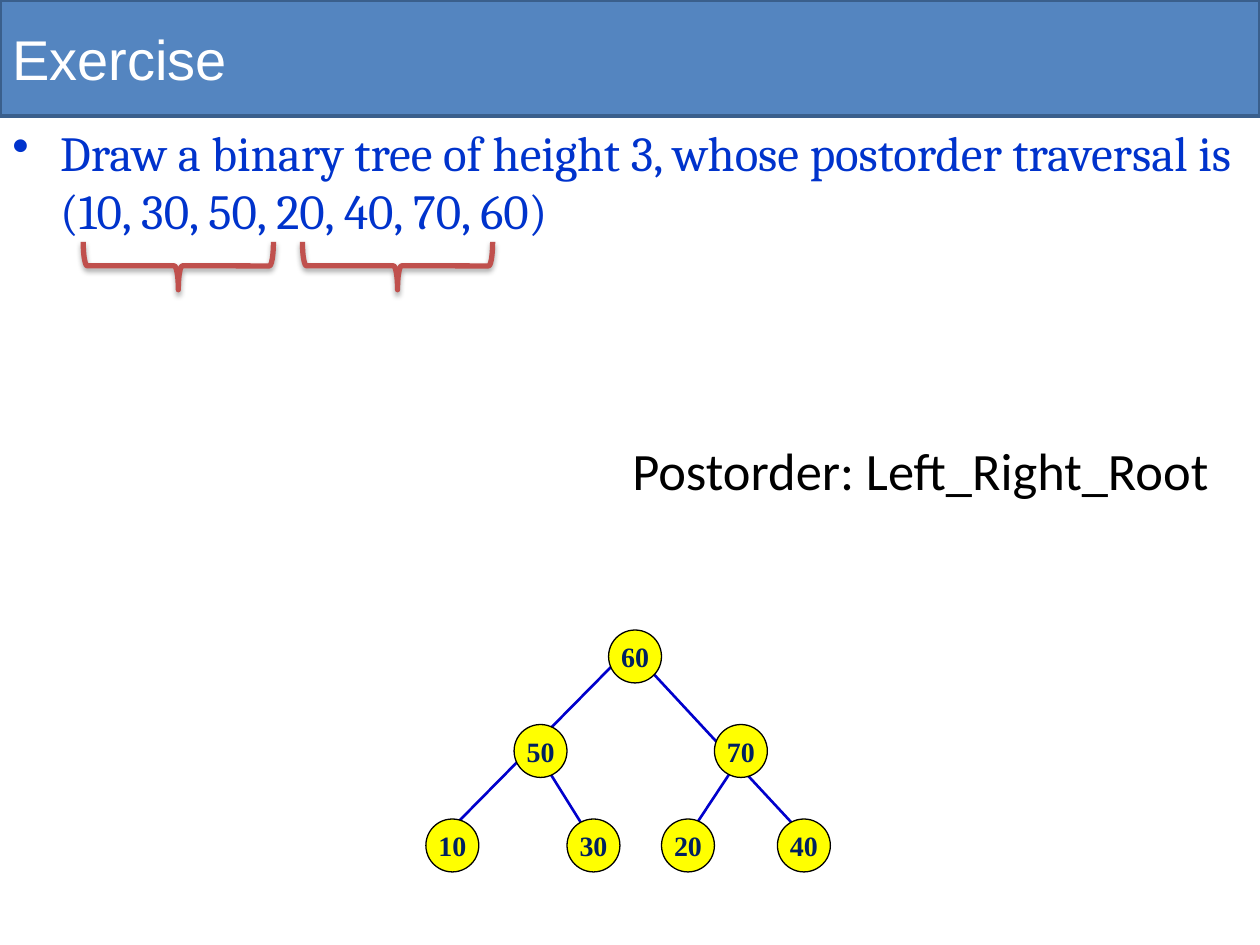
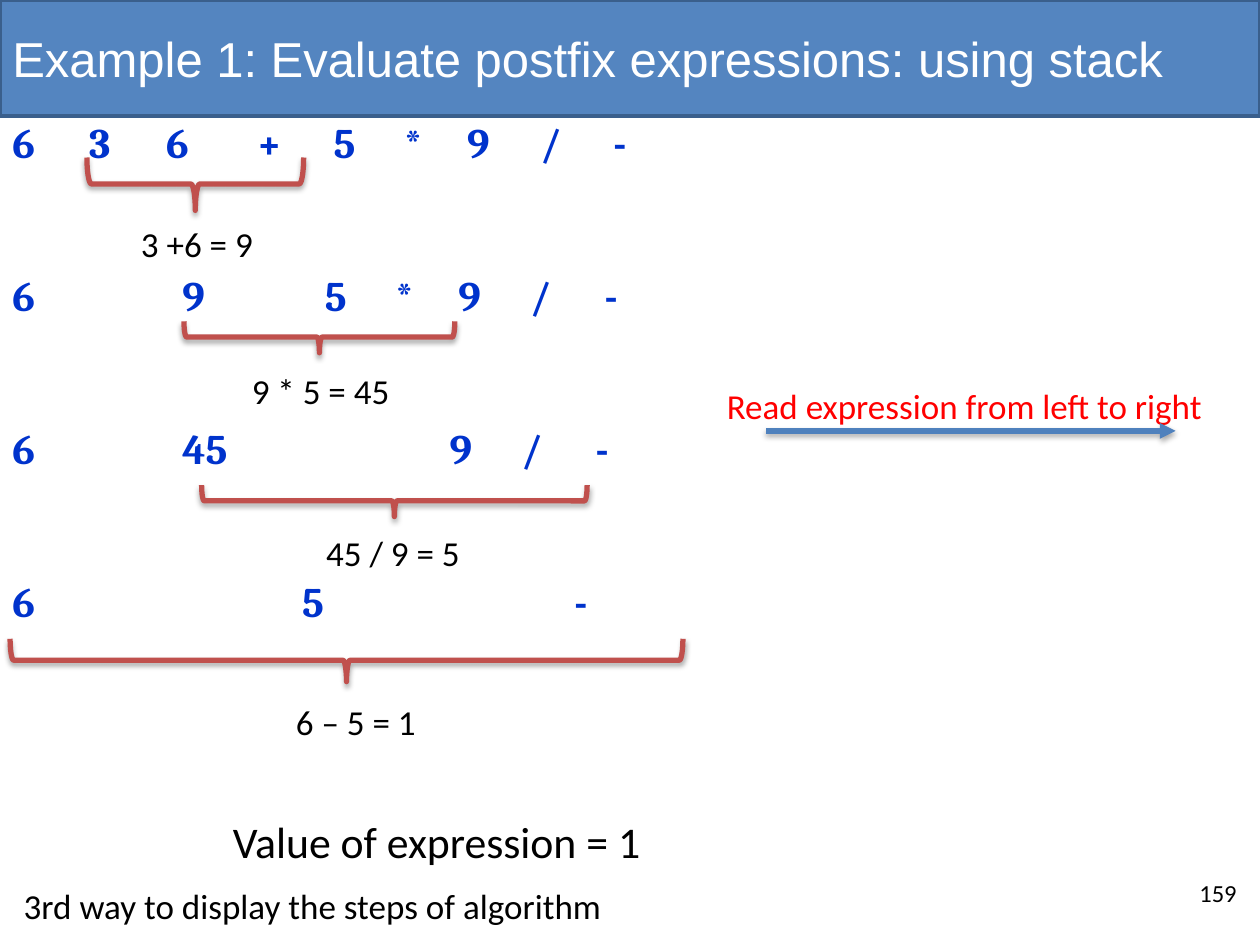
import pptx
import pptx.dml.color
import pptx.enum.shapes
import pptx.enum.text
import pptx.oxml
import pptx.oxml.ns
import pptx.util
from lxml import etree

Inches = pptx.util.Inches
Pt = pptx.util.Pt
RGBColor = pptx.dml.color.RGBColor
SHAPE = pptx.enum.shapes.MSO_SHAPE
STRAIGHT = pptx.enum.shapes.MSO_CONNECTOR.STRAIGHT
ANCHOR = pptx.enum.text.MSO_ANCHOR
ALIGN = pptx.enum.text.PP_ALIGN
qn = pptx.oxml.ns.qn

WHITE = RGBColor(0xFF, 0xFF, 0xFF)
BLACK = RGBColor(0x00, 0x00, 0x00)
RED = RGBColor(0xFF, 0x00, 0x00)
BAND_BLUE = RGBColor(0x54, 0x85, 0xC0)
BAND_EDGE = RGBColor(0x3A, 0x5F, 0x8C)
BODY_BLUE = RGBColor(0x00, 0x33, 0xCC)
EDGE_BLUE = RGBColor(0x00, 0x00, 0xCC)
ARROW_BLUE = RGBColor(0x4F, 0x81, 0xBD)
NODE_YELLOW = RGBColor(0xFF, 0xFF, 0x00)
NODE_NAVY = RGBColor(0x00, 0x20, 0x60)
BRACE_RED = RGBColor(0xC0, 0x50, 0x4D)

SLIDE_W, SLIDE_H, BAND_H = 10, 7.5, 0.92
NODE_SIZE = 0.42


# Shared helpers

def style(paragraph, size, color, font, bold=False):
    paragraph.font.size = Pt(size)
    paragraph.font.name = font
    paragraph.font.bold = bold
    paragraph.font.color.rgb = color


def add_text(slide, text, box, size, color=BLACK, font="Calibri"):
    label = slide.shapes.add_textbox(*map(Inches, box))
    label.text_frame.word_wrap = True
    label.text_frame.text = text
    style(label.text_frame.paragraphs[0], size, color, font)
    return label.text_frame


def set_effects(shape, shadow):
    """Give the shape a soft drop shadow, or explicitly none."""
    effects = etree.SubElement(shape._element.spPr, qn("a:effectLst"))
    if shadow:
        outer = etree.SubElement(effects, qn("a:outerShdw"), blurRad="40000",
                                 dist="23000", dir="5400000", rotWithShape="0")
        tint = etree.SubElement(outer, qn("a:srgbClr"), val="000000")
        etree.SubElement(tint, qn("a:alpha"), val="35000")


def add_line(slide, start, end, color, width, arrow=False):
    line = slide.shapes.add_connector(STRAIGHT, *map(Inches, (*start, *end)))
    line.line.color.rgb = color
    line.line.width = Pt(width)
    if arrow:
        etree.SubElement(line.line._get_or_add_ln(), qn("a:tailEnd"), type="triangle")
    set_effects(line, shadow=arrow)


def add_filled(slide, kind, box, fill, edge, width):
    shape = slide.shapes.add_shape(kind, *map(Inches, box))
    shape.shadow.inherit = False
    shape.fill.solid()
    shape.fill.fore_color.rgb = fill
    shape.line.color.rgb = edge
    shape.line.width = Pt(width)
    shape.text_frame.vertical_anchor = ANCHOR.MIDDLE
    return shape


def add_brace(slide, box):
    """Draw a downward brace that fills the box: a right brace turned a quarter."""
    left, top, width, depth = box
    brace = slide.shapes.add_shape(
        SHAPE.RIGHT_BRACE, Inches(left + (width - depth) / 2),
        Inches(top + (depth - width) / 2), Inches(depth), Inches(width))
    brace.rotation = 90
    brace.fill.background()
    brace.line.color.rgb = BRACE_RED
    brace.line.width = Pt(3)
    set_effects(brace, shadow=True)


def add_titled_slide(deck, title, size):
    slide = deck.slides.add_slide(deck.slide_layouts[6])
    band = add_filled(slide, SHAPE.RECTANGLE, (0, 0, SLIDE_W, BAND_H),
                      BAND_BLUE, BAND_EDGE, 2)
    band.text_frame.text = title
    heading = band.text_frame.paragraphs[0]
    heading.alignment = ALIGN.LEFT
    style(heading, size, WHITE, "Arial")
    return slide


# Exercise slide

def add_question(slide, box):
    left, top, _, _ = box
    frame = add_text(
        slide, "Draw a binary tree of height 3, whose postorder traversal is "
        "(10, 30, 50, 20, 40, 70, 60)", box, 28, BODY_BLUE, "Cambria")
    props = frame.paragraphs[0]._p.get_or_add_pPr()
    props.set("marL", str(Inches(0.38)))
    props.set("indent", str(-Inches(0.38)))
    bullet = pptx.oxml.parse_xml(
        '<a:buChar xmlns:a="http://schemas.openxmlformats.org/drawingml/2006/main" char="•"/>')
    props.insert(0, bullet)
    # Left and right subtrees within the sequence
    for subtree_left in (0.66, 2.4):
        add_brace(slide, (left + subtree_left, top + 1, 1.51, 0.38))


def add_tree(slide, box):
    left, top, _, _ = box
    edges = [((0.9, 1), (1.35, 1.72)), ((1.79, 0.33), (2.95, 1.58)),
             ((2.45, 1.08), (2.06, 1.67)), ((1.68, 0.08), (0.2, 1.58))]
    levels = [{"60": 1.45}, {"50": 0.7, "70": 2.29},
              {"10": 0, "30": 1.12, "20": 1.87, "40": 2.79}]
    for (x1, y1), (x2, y2) in edges:
        add_line(slide, (left + x1, top + y1), (left + x2, top + y2), EDGE_BLUE, 1.5)
    for depth, level in enumerate(levels):
        for key, x in level.items():
            node = add_filled(slide, SHAPE.OVAL,
                              (left + x, top + depth * 0.75, NODE_SIZE, NODE_SIZE),
                              NODE_YELLOW, BLACK, 0.75)
            frame = node.text_frame
            frame.margin_left = frame.margin_right = 0
            frame.margin_top = frame.margin_bottom = 0
            frame.word_wrap = False
            frame.text = key
            frame.paragraphs[0].alignment = ALIGN.CENTER
            style(frame.paragraphs[0], 16, NODE_NAVY, "Times New Roman", bold=True)


def build_exercise(deck):
    slide = add_titled_slide(deck, "Exercise", 32)
    add_question(slide, (0, BAND_H, SLIDE_W, 1.2))
    add_text(slide, "Postorder: Left_Right_Root", (4.92, 3.43, 5, 0.61), 30)
    add_tree(slide, (3.38, 5, 3.21, 1.92))


# Postfix evaluation slide

def add_expression_rows(slide, box):
    """Write each state of the expression with its symbols on tab stops."""
    rows = [
        ("6 3 6 + 5 * 9 / -", (0.61, 1.22, 1.94, 2.55, 3.11, 3.61, 4.19, 4.77)),
        ("6 9 5 * 9 / -", (1.35, 2.48, 3.04, 3.54, 4.11, 4.7)),
        ("6 45 9 / -", (1.35, 3.47, 4.04, 4.63)),
        ("6 5 -", (2.3, 4.46)),
    ]
    frame = slide.shapes.add_textbox(*map(Inches, box)).text_frame
    frame.word_wrap = True
    frame.text = "\n".join(symbols.replace(" ", "\t") for symbols, _ in rows)
    for index, (row, (_, stops)) in enumerate(zip(frame.paragraphs, rows)):
        row.line_spacing = 0.9
        if index:
            row.space_before = Pt(61.5)
        tabs = etree.SubElement(row._p.get_or_add_pPr(), qn("a:tabLst"))
        for stop in stops:
            etree.SubElement(tabs, qn("a:tab"), pos=str(Inches(stop)), algn="l")
        style(row, 24, BODY_BLUE, "Cambria", bold=True)


def add_steps(slide, box):
    """Brace each evaluated part and write its result below."""
    left, top, _, _ = box
    steps = [
        ("3 +6 = 9", (0.69, 0.33, 1.72, 0.42), (1.02, 0.8)),
        ("9 * 5 = 45", (1.46, 1.63, 2.15, 0.25), (1.9, 1.96)),
        ("45 / 9 = 5", (1.6, 2.93, 3.06, 0.25), (2.49, 3.25)),
        ("6 – 5 = 1", (0.08, 4.15, 5.34, 0.34), (2.25, 4.59)),
    ]
    for result, (x, y, width, depth), (result_x, result_y) in steps:
        add_brace(slide, (left + x, top + y, width, depth))
        add_text(slide, result, (left + result_x, top + result_y, 1.55, 0.44), 20)


def add_reading_direction(slide, box):
    left, top, width, height = box
    add_text(slide, "Read expression from left to right", box, 20, RED)
    arrow_y = top + 0.42
    add_line(slide, (left + 0.41, arrow_y), (left + 3.66, arrow_y),
             ARROW_BLUE, 3, arrow=True)


def build_postfix(deck):
    slide = add_titled_slide(
        deck, "Example 1: Evaluate postfix expressions: using stack", 28)
    work_area = (0, BAND_H, 5.6, 5)
    add_expression_rows(slide, work_area)
    add_steps(slide, work_area)
    add_reading_direction(slide, (5.67, 3, 4.17, 0.44))
    add_text(slide, "Value of expression = 1", (1.75, 6.42, 4.17, 0.52), 25)
    add_text(slide, "3rd way to display the steps of algorithm",
             (0.09, 6.97, 5, 0.44), 20)
    add_text(slide, "159", (9.42, 6.92, 0.58, 0.4), 14)


def main():
    deck = pptx.Presentation()
    deck.slide_width, deck.slide_height = Inches(SLIDE_W), Inches(SLIDE_H)
    build_exercise(deck)
    build_postfix(deck)
    deck.save("out.pptx")


if __name__ == "__main__":
    main()
